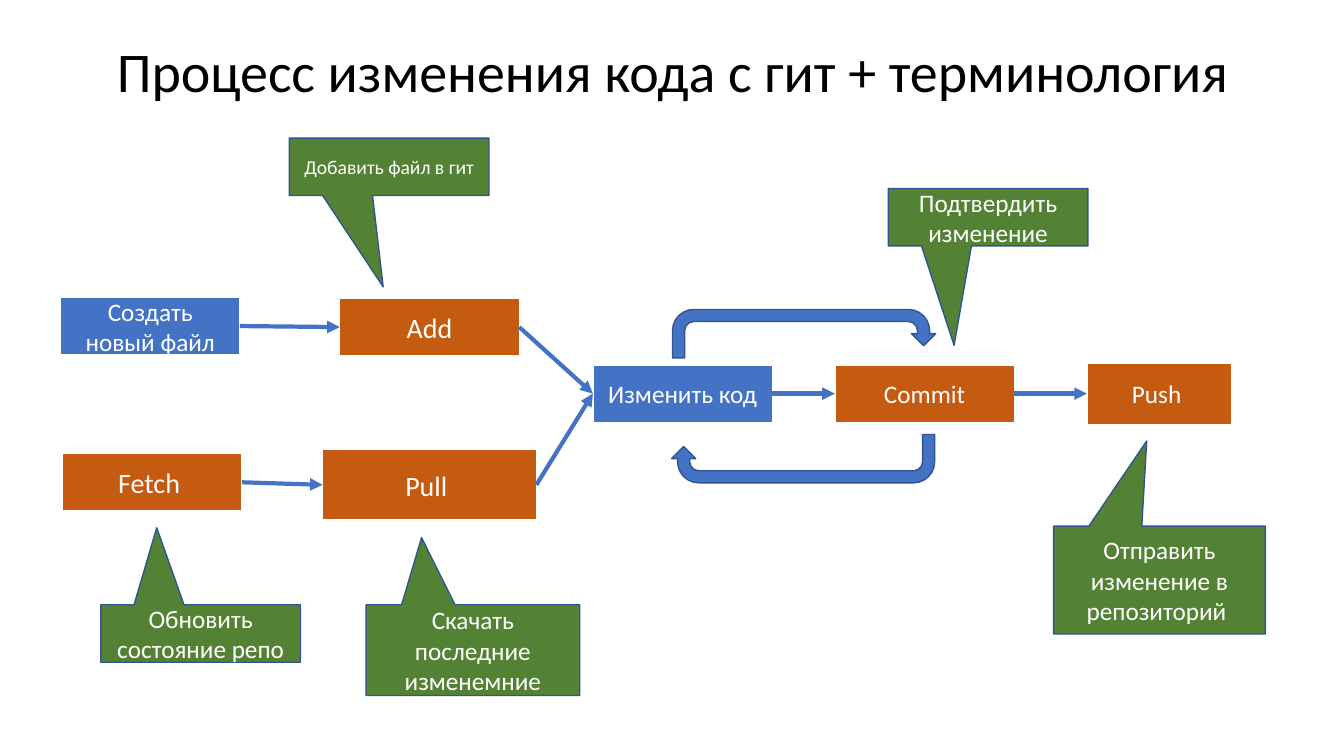
"""Build a slide showing how a code change moves through git."""
from dataclasses import dataclass
from typing import Any, Optional

import lxml.etree
import pptx
import pptx.dml.color
import pptx.enum.shapes
import pptx.enum.text
import pptx.oxml.ns
import pptx.slide
import pptx.text.text
import pptx.util

Inches = pptx.util.Inches
Pt = pptx.util.Pt
RGB = pptx.dml.color.RGBColor
Kind = pptx.enum.shapes.MSO_SHAPE
qn = pptx.oxml.ns.qn


@dataclass(frozen=True)
class Theme:
    font: str = "Calibri"
    white: str = "FFFFFF"
    black: str = "000000"
    blue: str = "4472C4"
    orange: str = "C55A11"
    green: str = "548235"
    outline: str = "325491"
    title: int = 40
    large: int = 20
    body: int = 18
    small: int = 14
    border: int = 1
    arrow: int = 3


T = Theme()


@dataclass(frozen=True)
class Node:
    key: str
    text: str
    left: float
    top: float
    width: float = 1.78
    height: float = 0.57
    fill: str = T.orange
    size: int = T.body


@dataclass(frozen=True)
class Callout:
    text: str
    left: float
    top: float
    tip: tuple[float, float]
    width: float = 1.98
    height: float = 0.57
    size: int = T.body


@dataclass(frozen=True)
class Loop:
    left: float
    top: float
    rotation: int


NODES = [
    Node("create", "Создать новый файл", 0.6, 2.95, fill=T.blue),
    Node("fetch", "Fetch ", 0.62, 4.5, size=T.large),
    Node("add", "Add", 3.37, 2.96, size=T.large),
    Node("pull", "Pull ", 3.2, 4.46, 2.12, 0.7, size=T.large),
    Node("edit", "Изменить код", 5.88, 3.62, fill=T.blue),
    Node("commit", "Commit", 8.28, 3.62),
    Node("push", "Push ", 10.78, 3.6, 1.44, 0.61),
]
LINKS = [
    ("create", "add"), ("fetch", "pull"), ("add", "edit"),
    ("pull", "edit"), ("edit", "commit"), ("commit", "push"),
]
LOOPS = [Loop(6.67, 3.07, 0), Loop(6.66, 4.31, 180)]
CALLOUTS = [
    Callout("Добавить файл в гит", 2.87, 1.37, (-0.03, 2.09), size=T.small),
    Callout("Подтвердить изменение", 8.81, 1.87, (-0.17, 2.23)),
    Callout("Отправить изменение в репозиторий ", 10.45, 5.22, (-0.06, -1.29), 2.1, 1.07),
    Callout("Обновить состояние репо", 1, 6, (-0.22, -1.84)),
    Callout("Скачать последние изменемние", 3.63, 6, (-0.24, -1.24), 2.12, 0.9),
]


def write(tf: pptx.text.text.TextFrame, text: str, *, size: int,
          color: str = T.white, wrap: bool = True) -> None:
    """Write one centred paragraph into a text frame."""
    tf.word_wrap = wrap
    p = tf.paragraphs[0]
    p.alignment = pptx.enum.text.PP_ALIGN.CENTER
    r = p.add_run()
    r.text = text
    r.font.name = T.font
    r.font.size = Pt(size)
    r.font.color.rgb = RGB.from_string(color)


def add_shape(s: pptx.slide.Slide, kind: Any, left: float, top: float,
              width: float, height: float, *, fill: str, line: str,
              text: Optional[str] = None, size: int = T.body) -> Any:
    """Add a filled, outlined shape with optional text."""
    sp = s.shapes.add_shape(kind, Inches(left), Inches(top), Inches(width), Inches(height))
    sp.shadow.inherit = False
    sp.fill.solid()
    sp.fill.fore_color.rgb = RGB.from_string(fill)
    sp.line.color.rgb = RGB.from_string(line)
    sp.line.width = Pt(T.border)
    if text:
        sp.text_frame.vertical_anchor = pptx.enum.text.MSO_ANCHOR.MIDDLE
        write(sp.text_frame, text, size=size)
    return sp


def add_arrow(s: pptx.slide.Slide, source: Any, target: Any) -> None:
    """Join the right side of one box to the left side of another."""
    c = s.shapes.add_connector(pptx.enum.shapes.MSO_CONNECTOR.STRAIGHT, 0, 0, 0, 0)
    c.begin_connect(source, 3)
    c.end_connect(target, 1)
    c.line.color.rgb = RGB.from_string(T.blue)
    c.line.width = Pt(T.arrow)
    props = c._element.spPr
    lxml.etree.SubElement(props.find(qn("a:ln")), qn("a:tailEnd"), type="triangle")
    lxml.etree.SubElement(props, qn("a:effectLst"))


def add_title(s: pptx.slide.Slide, text: str) -> None:
    """Add the slide heading."""
    tf = s.shapes.add_textbox(Inches(1), Inches(0.31), Inches(11.34), Inches(0.77)).text_frame
    tf.auto_size = pptx.enum.text.MSO_AUTO_SIZE.SHAPE_TO_FIT_TEXT
    write(tf, text, size=T.title, color=T.black, wrap=False)


def main() -> None:
    """Draw the slide and save it."""
    prs = pptx.Presentation()
    prs.slide_width, prs.slide_height = Inches(13.33), Inches(7.5)
    s = prs.slides.add_slide(prs.slide_layouts[6])
    boxes = {
        n.key: add_shape(s, Kind.RECTANGLE, n.left, n.top, n.width, n.height,
                         fill=n.fill, line=T.white, text=n.text, size=n.size)
        for n in NODES
    }
    for source, target in LINKS:
        add_arrow(s, boxes[source], boxes[target])
    add_title(s, "Процесс изменения кода с гит + терминология")
    for loop in LOOPS:
        sp = add_shape(s, Kind.U_TURN_ARROW, loop.left, loop.top, 2.61, 0.48,
                       fill=T.blue, line=T.outline)
        sp.rotation = loop.rotation
    for c in CALLOUTS:
        sp = add_shape(s, Kind.RECTANGULAR_CALLOUT, c.left, c.top, c.width, c.height,
                       fill=T.green, line=T.outline, text=c.text, size=c.size)
        sp.adjustments[0], sp.adjustments[1] = c.tip
    prs.save("out.pptx")


if __name__ == "__main__":
    main()
